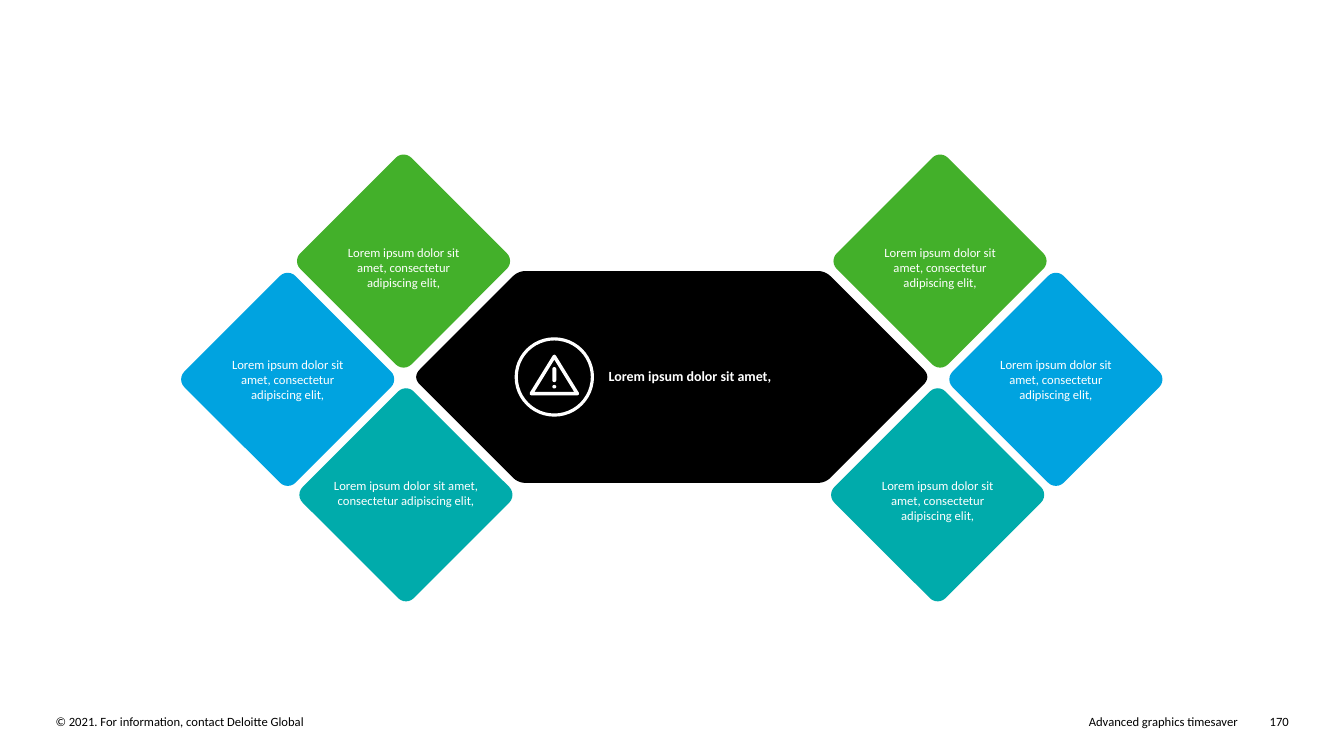
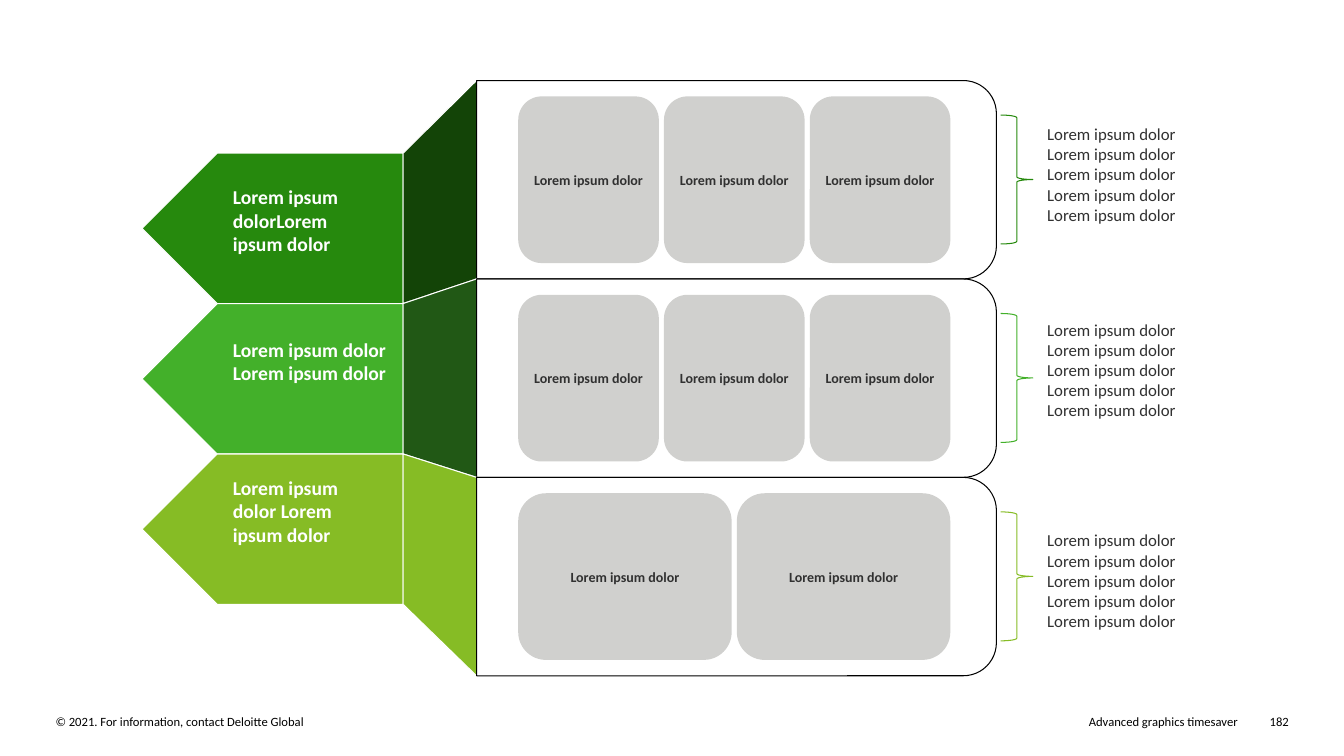
from math import dist

from pptx import Presentation
from pptx.dml.color import RGBColor
from pptx.enum.shapes import MSO_SHAPE
from pptx.enum.text import MSO_ANCHOR, PP_ALIGN
from pptx.util import Cm, Pt

ROUND = MSO_SHAPE.ROUNDED_RECTANGLE
PLATE = MSO_SHAPE.PENTAGON
FRAME = MSO_SHAPE.ROUND_2_SAME_RECTANGLE
BRACE = MSO_SHAPE.RIGHT_BRACE
RING = MSO_SHAPE.DONUT
PEAK = MSO_SHAPE.ISOSCELES_TRIANGLE
DOT = MSO_SHAPE.OVAL
LEFT, MID, RIGHT = PP_ALIGN.LEFT, PP_ALIGN.CENTER, PP_ALIGN.RIGHT
CENTER = MSO_ANCHOR.MIDDLE

WHITE, BLACK, INK, GREY = "FFFFFF", "000000", "313131", "D0D0CE"
DARK, GREEN, LIME = "26890D", "43B02A", "86BC25"
TEAL, BLUE = "00ABAB", "00A3E0"

SMALL = {"name": "Calibri", "size": Pt(9), "bold": False}
LABEL = {**SMALL, "size": Pt(10), "bold": True}
HEAD = {**SMALL, "size": Pt(14), "bold": True}
NOTE = {**SMALL, "size": Pt(12)}

LOREM = "Lorem ipsum dolor"
BLURB = "Lorem ipsum dolor sit amet, consectetur adipiscing elit,"


def color(code):
    return RGBColor.from_string(code)


def paint(shape, fill=None, line=None, width=0.75):
    shape.shadow.inherit = False
    if fill:
        shape.fill.solid()
        shape.fill.fore_color.rgb = color(fill)
    else:
        shape.fill.background()
    if line:
        shape.line.color.rgb = color(line)
        shape.line.width = Pt(width)
    else:
        shape.line.fill.background()
    return shape


def block(slide, kind, box, fill=None, line=None, width=0.75, turn=0, adj=None):
    shape = slide.shapes.add_shape(kind, *map(Cm, box))
    shape.rotation = turn
    if adj is not None:
        shape.adjustments[0] = adj
    return paint(shape, fill, line, width)


def outline(slide, points, fill, line=None):
    spots = [(Cm(x), Cm(y)) for x, y in points]
    pen = slide.shapes.build_freeform(*spots[0])
    pen.add_line_segments(spots[1:], close=True)
    return paint(pen.convert_to_shape(), fill, line)


def write(shape, text, style, ink, align=LEFT, wrap=True, inset=0):
    frame = shape.text_frame
    frame.word_wrap = wrap
    for side in ("left", "top", "right", "bottom"):
        setattr(frame, "margin_" + side, Cm(inset))
    para = frame.paragraphs[0]
    para.text = text
    para.alignment = align
    for key, value in style.items():
        setattr(para.font, key, value)
    para.font.color.rgb = color(ink)
    return frame


def label(slide, box, text, style, ink, align=LEFT, wrap=True):
    write(slide.shapes.add_textbox(*map(Cm, box)), text, style, ink, align, wrap)


def soften(corners, steps=8):
    points = []
    for i, (x, y, cut) in enumerate(corners):
        ends = []
        for other in (corners[i - 1], corners[(i + 1) % len(corners)]):
            part = cut / dist((x, y), other[:2])
            ends.append((x + (other[0] - x) * part, y + (other[1] - y) * part))
        (ax, ay), (bx, by) = ends
        for step in range(steps + 1):
            t = step / steps
            u = 1 - t
            points.append((u * u * ax + 2 * u * t * x + t * t * bx,
                           u * u * ay + 2 * u * t * y + t * t * by))
    return points


def start(deck, number):
    slide = deck.slides.add_slide(deck.slide_layouts[6])
    for left, width, text, align in (
        (1.4, 14.88, "© 2021. For information, contact Deloitte Global", LEFT),
        (17.6, 13.59, "Advanced graphics timesaver", RIGHT),
        (31.62, 0.86, number, RIGHT),
    ):
        label(slide, (left, 17.98, width, 0.38), text, SMALL, BLACK, align)
    return slide


def gem(slide, x, y, fill, top, width):
    side = 3.96
    block(slide, ROUND, (x - side / 2, y - side / 2, side, side), fill,
          turn=45, adj=0.07)
    label(slide, (x - width / 2, top, width, 1.3), BLURB, SMALL, WHITE, MID)


def alert(slide, x, y):
    block(slide, RING, (x - 1, y - 1, 2, 2), WHITE, adj=0.04)
    block(slide, PEAK, (x - 0.58, y - 0.52, 1.16, 0.94), line=WHITE, width=2.5)
    block(slide, ROUND, (x - 0.05, y - 0.25, 0.1, 0.38), WHITE, adj=0.5)
    block(slide, DOT, (x - 0.05, y + 0.2, 0.1, 0.09), WHITE)


def gems(deck):
    slide = start(deck, "170")
    axis, mid = 16.93, 9.5
    for gap, y, fill, top, widths in (
        (6.76, 6.58, GREEN, 6.17, (3.55, 3.55)),
        (6.7, 12.47, TEAL, 12.04, (4.06, 3.6)),
        (9.68, 9.56, BLUE, 8.99, (3.4, 3.4)),
    ):
        for sign, width in zip((-1, 1), widths):
            gem(slide, axis + sign * gap, y, fill, top, width)
    tip, edge, rise = 6.54, 3.87, 2.67
    hexagon = [(-tip, 0, 0.28), (-edge, -rise, 0.2), (edge, -rise, 0.2),
               (tip, 0, 0.28), (edge, rise, 0.2), (-edge, rise, 0.2)]
    outline(slide, soften([(axis + x, mid + y, cut) for x, y, cut in hexagon]), BLACK)
    alert(slide, 13.97, mid)
    label(slide, (15.34, 9.25, 4.67, 0.48), "Lorem ipsum dolor sit amet,",
          LABEL, WHITE, wrap=False)


def tiles(slide, top, count):
    left, total, gap = 13.06, 10.89, 0.13
    width = (total - gap * (count - 1)) / count
    for i in range(count):
        tile = block(slide, ROUND, (left + i * (width + gap), top, width, 4.2), GREY)
        frame = write(tile, LOREM, LABEL, INK, MID, False, 0.25)
        frame.vertical_anchor = CENTER


def rows(deck):
    slide = start(deck, "182")
    near, far = 10.16, 12.01
    tall, high, wide = 3.79, 5, 13.1
    for i, (fill, shade, text, width, head, count, note) in enumerate((
        (DARK, "134407", "Lorem ipsum dolorLorem ipsum dolor", 3.53, 4.67, 3, 3.12),
        (GREEN, "215815", "Lorem ipsum dolor Lorem ipsum dolor", 4.19, 8.51, 3, 8.05),
        (LIME, LIME, "Lorem ipsum dolor Lorem ipsum dolor", 3.53, 11.99, 2, 13.36),
    )):
        low, top = 3.86 + i * tall, 2.03 + i * high
        block(slide, PLATE, (3.58, low, near - 3.58, tall), fill, WHITE, turn=180)
        outline(slide, [(near, low), (far, top), (far, top + high),
                        (near, low + tall)], shade, WHITE)
        label(slide, (5.87, head, width, 2.06), text, HEAD, WHITE)
        block(slide, FRAME, (far + (wide - high) / 2, top + (high - wide) / 2, high, wide),
              line=BLACK, turn=90)
        tiles(slide, top + 0.4, count)
        block(slide, BRACE, (25.22, top + 0.87, 0.81, 3.25), line=fill)
        label(slide, (26.39, note, 3.91, 2.92), " ".join([LOREM] * 5), NOTE, INK)


def main():
    deck = Presentation()
    deck.slide_width, deck.slide_height = Cm(33.87), Cm(19.05)
    gems(deck)
    rows(deck)
    deck.save("out.pptx")


if __name__ == "__main__":
    main()
